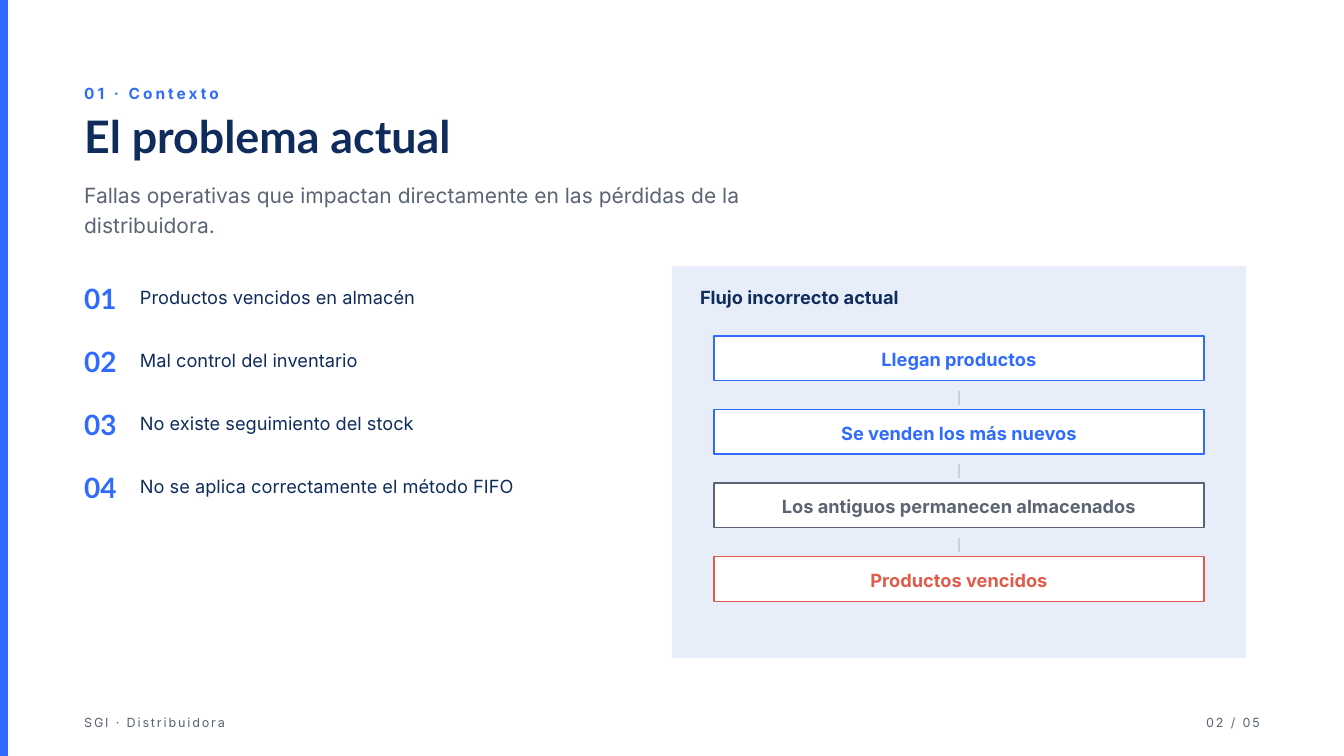
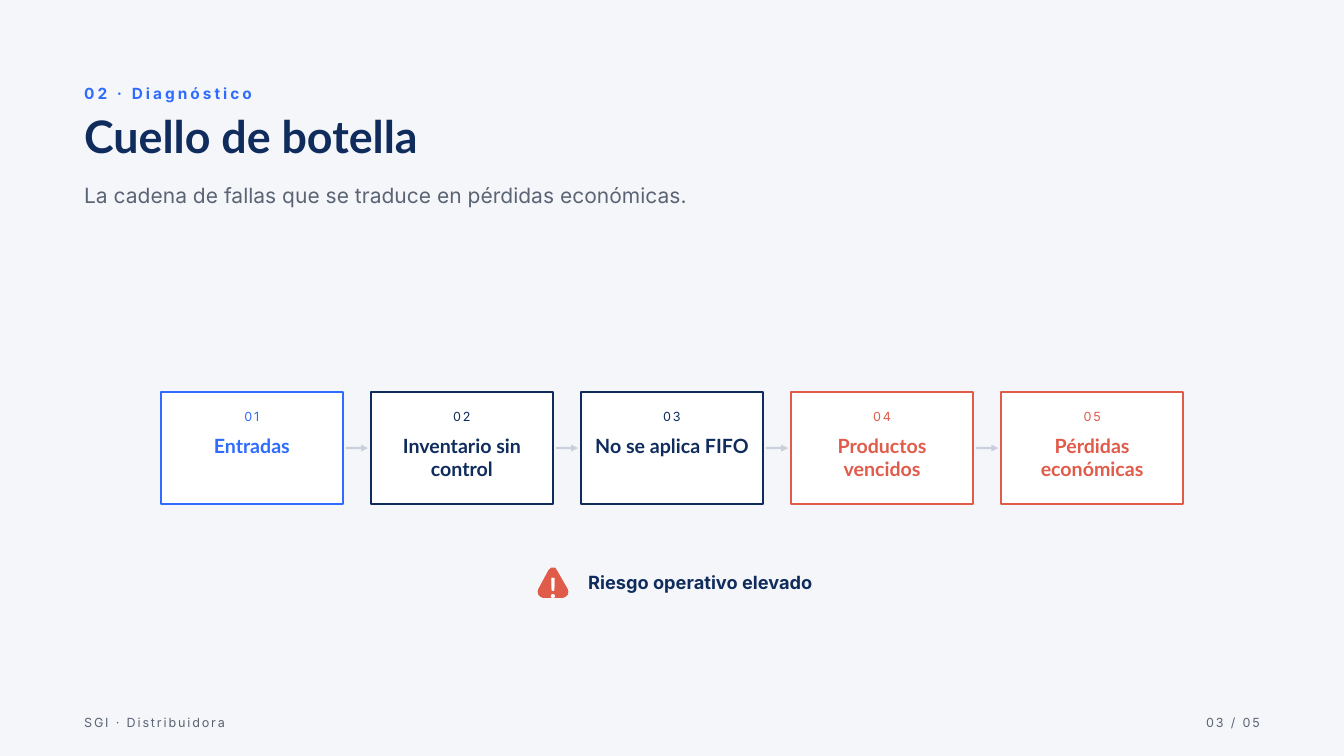
from pptx import Presentation
from pptx.dml.color import RGBColor
from pptx.enum import shapes, text
from pptx.util import Cm, Pt
from lxml import etree

HEX = {
    "blue": "2F6BFF", "navy": "0F2C5C", "grey": "5B6474", "red": "E05B4A",
    "white": "FFFFFF", "pale": "F4F6FA", "panel": "E8EEF9", "line": "C9D0DC",
}
WIDE, HIGH, LEFT = 50.8, 28.58, 3.18
ALIGN = text.PP_ALIGN
FORM = shapes.MSO_SHAPE
DRAW = "http://schemas.openxmlformats.org/drawingml/2006/main"
STYLES = {
    "label": ("Inter", 16.5, 23.1, True, 330),
    "title": ("Lato", 48, 50.4, True, 0),
    "lead": ("Inter", 22.5, 31.5, False, 0),
    "count": ("Lato", 30, 42, True, 0),
    "body": ("Inter", 19.5, 26.3, False, 0),
    "strong": ("Inter", 19.5, 26.3, True, 0),
    "small": ("Inter", 13.5, 18.9, False, 200),
    "card": ("Lato", 21, 25.2, True, 0),
}
ISSUES = [
    "Productos vencidos en almacén",
    "Mal control del inventario",
    "No existe seguimiento del stock",
    "No se aplica correctamente el método FIFO",
]
FLOW = [
    ("Llegan productos", "blue"),
    ("Se venden los más nuevos", "blue"),
    ("Los antiguos permanecen almacenados", "grey"),
    ("Productos vencidos", "red"),
]
CHAIN = [
    ("Entradas", "blue"),
    ("Inventario sin control", "navy"),
    ("No se aplica FIFO", "navy"),
    ("Productos vencidos", "red"),
    ("Pérdidas económicas", "red"),
]
CURVES = [
    [(45, 32), (46, 35), (46, 38), (44, 41)],
    [(44, 41), (43, 43), (40, 45), (37, 45)],
    [(9, 45), (6, 45), (3, 43), (2, 41)],
    [(2, 41), (0, 38), (0, 35), (1, 32)],
    [(16, 4), (18, 1), (20, 0), (23, 0)],
    [(23, 0), (26, 0), (28, 1), (29, 4)],
]


def color(name):
    return RGBColor.from_string(HEX[name])


def style(par, words, kind, tint, align=ALIGN.LEFT):
    face, size, lead, bold, gap = STYLES[kind]
    par.text = words
    par.alignment = align
    par.line_spacing = Pt(lead)
    font = par.font
    font.name, font.size, font.bold = face, Pt(size), bold
    font.color.rgb = color(tint)
    if gap:
        par._p.get_or_add_pPr().get_or_add_defRPr().set("spc", str(gap))


def frame(shape, side=0, top=0):
    body = shape.text_frame
    body.word_wrap = True
    body.margin_left = body.margin_right = Cm(side)
    body.margin_top, body.margin_bottom = Cm(top), 0
    return body


def write(slide, words, kind, tint, x, y, w, h, align=ALIGN.LEFT):
    body = frame(slide.shapes.add_textbox(Cm(x), Cm(y), Cm(w), Cm(h)))
    body.auto_size = text.MSO_AUTO_SIZE.SHAPE_TO_FIT_TEXT
    style(body.paragraphs[0], words, kind, tint, align)


def paint(shape, fill, edge=None):
    shape.shadow.inherit = False
    shape.fill.solid()
    shape.fill.fore_color.rgb = color(fill)
    if edge:
        shape.line.color.rgb = color(edge)
        shape.line.width = Pt(1.5)
    else:
        shape.line.fill.background()


def block(slide, x, y, w, h, fill, edge=None, form=FORM.RECTANGLE):
    shape = slide.shapes.add_shape(form, Cm(x), Cm(y), Cm(w), Cm(h))
    paint(shape, fill, edge)
    return shape


def step(slide, words, tint, x, y, w, h):
    body = frame(block(slide, x, y, w, h, "white", tint))
    body.vertical_anchor = text.MSO_ANCHOR.MIDDLE
    style(body.paragraphs[0], words, "strong", tint, ALIGN.CENTER)


def card(slide, num, words, tint, x, y, w, h):
    body = frame(block(slide, x, y, w, h, "white", tint), 0.53, 0.53)
    body.vertical_anchor = text.MSO_ANCHOR.TOP
    style(body.paragraphs[0], num, "small", tint, ALIGN.CENTER)
    name = body.add_paragraph()
    style(name, words, "card", tint, ALIGN.CENTER)
    name.space_before = Pt(10.6)


def link(slide, x, y, h):
    line = slide.shapes.add_connector(
        shapes.MSO_CONNECTOR.STRAIGHT, Cm(x), Cm(y), Cm(x), Cm(y + h))
    line.line.color.rgb = color("line")
    line.line.width = Pt(2.25)
    etree.SubElement(line._element.spPr, f"{{{DRAW}}}effectLst")


def arrow(slide, x, y):
    shape = block(slide, x, y, 0.84, 0.26, "line", form=FORM.RIGHT_ARROW)
    shape.adjustments[0] = 0.33
    shape.adjustments[1] = 1


def bend(curve, count=6):
    for k in range(count + 1):
        t = k / count
        parts = ((1 - t) ** 3, 3 * t * (1 - t) ** 2, 3 * t * t * (1 - t), t ** 3)
        yield tuple(sum(a * p[i] for a, p in zip(parts, curve)) for i in (0, 1))


def alert(slide, words):
    dots = [dot for curve in CURVES for dot in bend(curve)]
    path = slide.shapes.build_freeform(*dots[0], scale=Cm(2.54) / 100)
    path.add_line_segments(dots[1:], close=True)
    paint(path.convert_to_shape(Cm(20.32), Cm(21.46)), "red")
    write(slide, "!", "count", "white", 20.12, 21.34, 1.57, 1.4, ALIGN.CENTER)
    write(slide, words, "strong", "navy", 22.23, 21.49, 10.59, 0.91)


def page(deck, back, num, label, title, lead, width):
    slide = deck.slides.add_slide(deck.slide_layouts[6])
    slide.background.fill.solid()
    slide.background.fill.fore_color.rgb = color(back)
    write(slide, label, "label", "blue", LEFT, 3.05, 15.88, 0.81)
    write(slide, title, "title", "navy", LEFT, 4.37, 31.75, 1.83)
    write(slide, lead, "lead", "grey", LEFT, 6.76, width, 1.1)
    write(slide, "SGI · Distribuidora", "small", "grey", LEFT, 26.92, 10.59, 0.61)
    write(slide, f"{num:02} / 05", "small", "grey",
          WIDE - LEFT - 10.59, 26.92, 10.59, 0.61, ALIGN.RIGHT)
    return slide


def context(deck):
    slide = page(deck, "white", 2, "01 · Contexto", "El problema actual",
                 "Fallas operativas que impactan directamente en las pérdidas "
                 "de la distribuidora.", 29.11)
    block(slide, 0, 0, 0.3, HIGH, "blue")
    for i, words in enumerate(ISSUES):
        y = 10.44 + 2.38 * i
        write(slide, f"{i + 1:02}", "count", "blue", LEFT, y, 1.57, 1.4)
        write(slide, words, "body", "navy", 5.29, y + 0.27, 16.41, 0.91)
    block(slide, 25.4, 10.05, 21.7, 14.82, "panel")
    write(slide, "Flujo incorrecto actual", "strong", "navy", 26.46, 10.74, 19.58, 0.94)
    for i, (words, tint) in enumerate(FLOW):
        y = 12.7 + 2.78 * i
        if i:
            link(slide, 36.25, y - 0.71, 0.53)
        step(slide, words, tint, 26.99, y, 18.52, 1.69)


def neck(deck):
    slide = page(deck, "pale", 3, "02 · Diagnóstico", "Cuello de botella",
                 "La cadena de fallas que se traduce en pérdidas económicas.", 34.39)
    wide, pitch = 6.88, 7.94
    start = (WIDE - wide - pitch * (len(CHAIN) - 1)) / 2
    for i, (words, tint) in enumerate(CHAIN):
        x = start + pitch * i
        if i:
            arrow(slide, x - 0.95, 16.81)
        card(slide, f"{i + 1:02}", words, tint, x, 14.82, wide, 4.23)
    alert(slide, "Riesgo operativo elevado")


def main():
    deck = Presentation()
    deck.slide_width, deck.slide_height = Cm(WIDE), Cm(HIGH)
    context(deck)
    neck(deck)
    deck.save("out.pptx")


if __name__ == "__main__":
    main()
